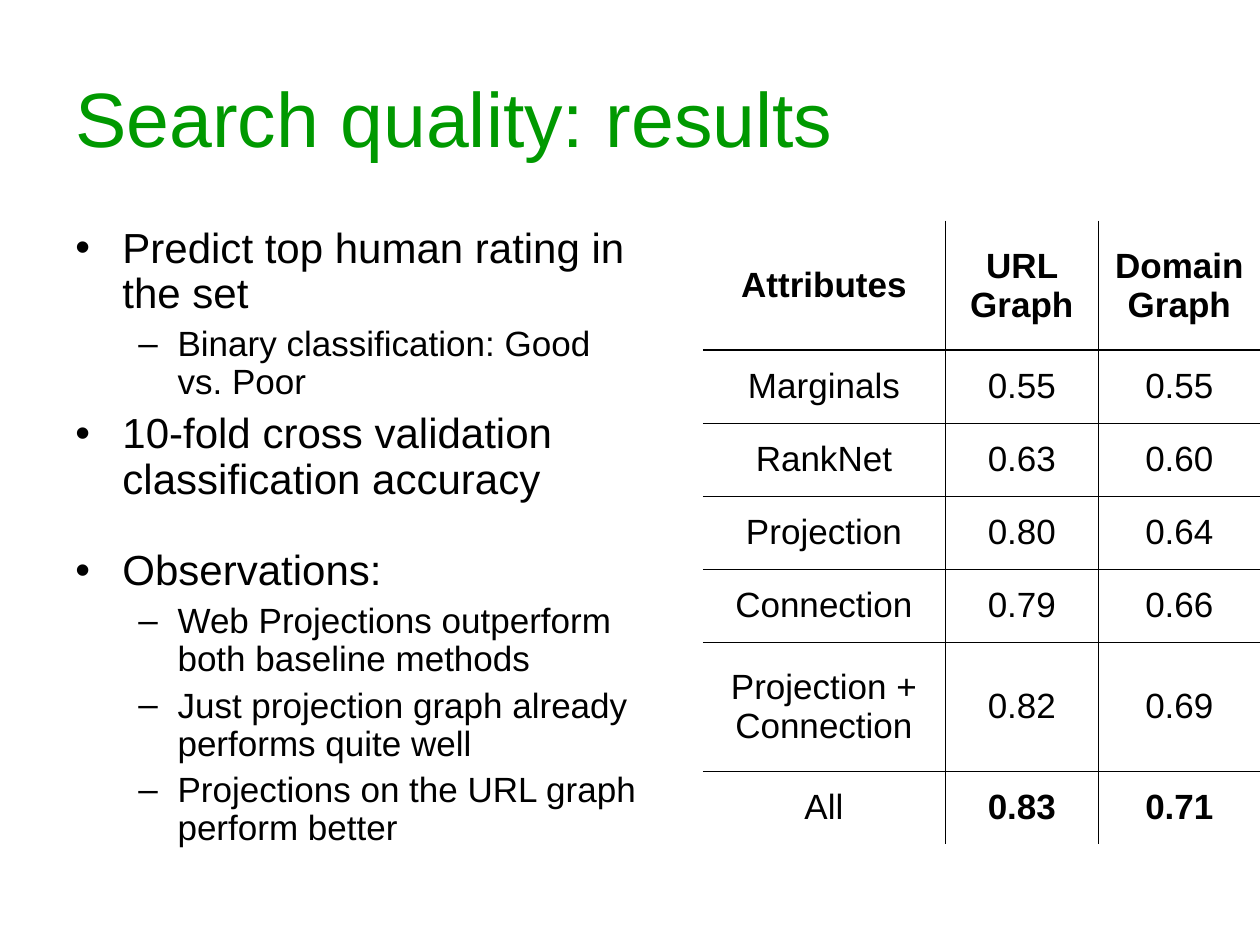
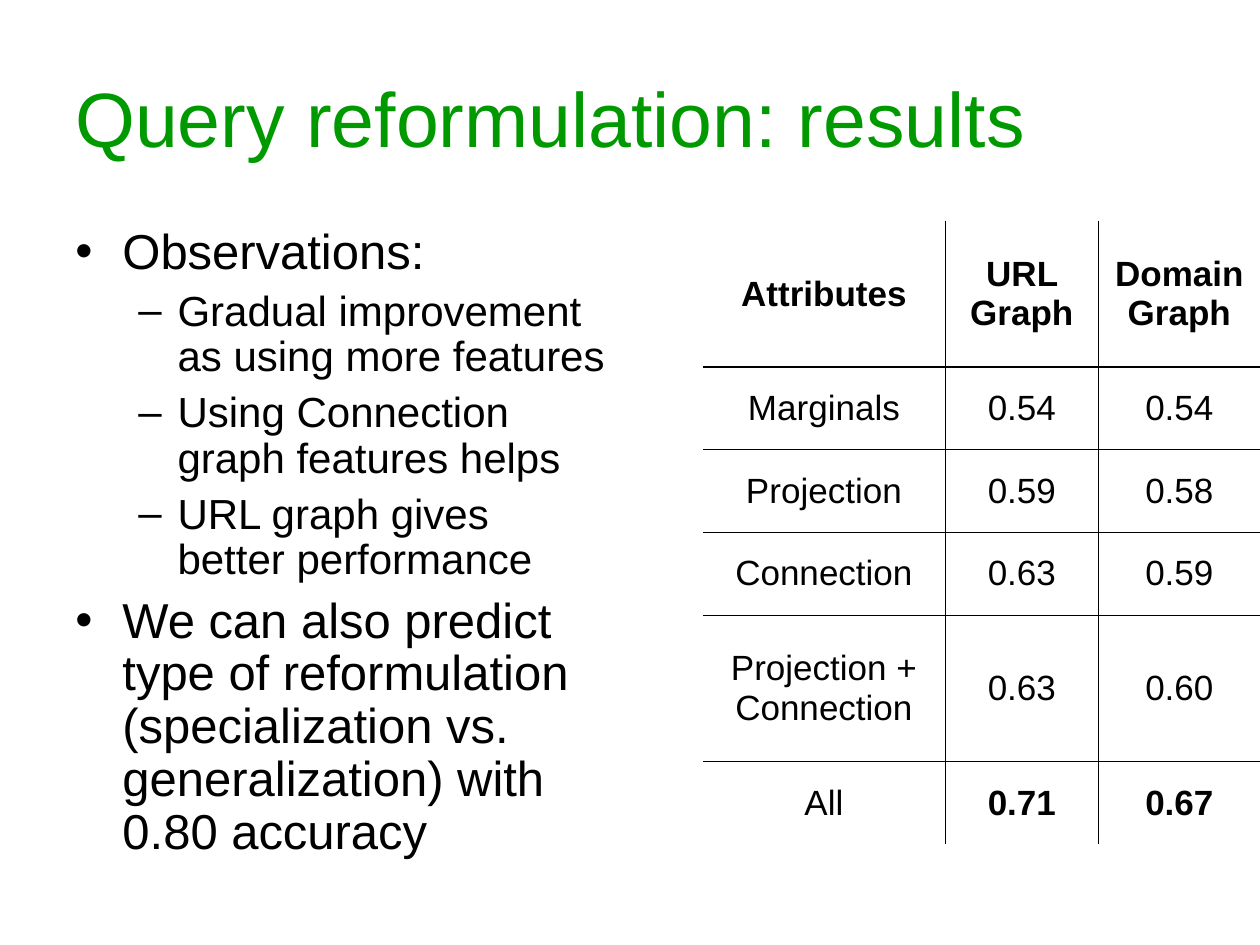
from lxml.etree import SubElement
from pptx import Presentation
from pptx.dml.color import RGBColor
from pptx.enum.text import MSO_ANCHOR as Anchor, PP_ALIGN as Align
from pptx.oxml.ns import qn
from pptx.util import Cm, Pt

GREEN = RGBColor(0x00, 0x99, 0x00)
BLACK = RGBColor(0x00, 0x00, 0x00)

BULLETS = [("•", 0.95, -0.95), ("–", 2.06, -0.79)]
COLUMN_WIDTHS = [4.88, 3.1, 3.25]
TABLE_HEIGHT = 12.57
TALL_RATIO = 1.77
TALL_LABELS = ("Attributes", "Projection + Connection")
HEADER = ("Attributes", "URL Graph", "Domain Graph")
THIN, THICK = 0.45, 1.08


def write(p, text, size=20, color=BLACK, bold=False, align=Align.LEFT, before=0, spacing=1.0):
    p.alignment = align
    p.space_before = Pt(before)
    p.line_spacing = spacing
    r = p.add_run()
    r.text = text
    r.font.name = "Arial"
    r.font.size = Pt(size)
    r.font.bold = bold
    r.font.color.rgb = color


def add_bullet(p, level):
    char, margin, indent = BULLETS[level]
    p.level = level
    pPr = p._p.get_or_add_pPr()
    pPr.set("marL", str(Cm(margin)))
    pPr.set("indent", str(Cm(indent)))
    color = SubElement(pPr, qn("a:buClr"))
    SubElement(color, qn("a:srgbClr"), val=str(BLACK))
    SubElement(pPr, qn("a:buFont"), typeface="Arial")
    SubElement(pPr, qn("a:buChar"), char=char)


def add_border(cell, side, width):
    tcPr = cell._tc.get_or_add_tcPr()
    ln = SubElement(tcPr, qn(f"a:ln{side}"), w=str(Pt(width)))
    if width:
        fill = SubElement(ln, qn("a:solidFill"))
        SubElement(fill, qn("a:srgbClr"), val=str(BLACK))
    else:
        SubElement(ln, qn("a:noFill"))


class Deck:
    def __init__(self):
        self.prs = Presentation()
        self.prs.slide_width, self.prs.slide_height = Cm(25.4), Cm(19.05)
        self.s = None

    def new_slide(self, title):
        self.s = self.prs.slides.add_slide(self.prs.slide_layouts[6])
        tf = self.text_box(1.27, 0.76, 22.86, 3.18)
        tf.vertical_anchor = Anchor.MIDDLE
        write(tf.paragraphs[0], title, size=44, color=GREEN)

    def text_box(self, left, top, width, height):
        sp = self.s.shapes.add_textbox(Cm(left), Cm(top), Cm(width), Cm(height))
        tf = sp.text_frame
        tf.word_wrap = True
        return tf

    def bullets(self, items, size, width, height):
        tf = self.text_box(1.27, 4.45, width, height)
        for i, (level, text, *gap) in enumerate(items):
            p = tf.add_paragraph() if i else tf.paragraphs[0]
            add_bullet(p, level)
            level_size = size - 4 * level
            before = level_size / 4 + sum(gap) if i else 0
            write(p, text, size=level_size, before=before, spacing=0.9)

    def results_table(self, results):
        rows = [HEADER, *results]
        last_row, last_col = len(rows) - 1, len(HEADER) - 1
        ratios = [TALL_RATIO if row[0] in TALL_LABELS else 1 for row in rows]
        frame = self.s.shapes.add_table(len(rows), len(HEADER), Cm(14.17), Cm(4.45),
                                        Cm(sum(COLUMN_WIDTHS)), Cm(TABLE_HEIGHT))
        table = frame.table
        table.first_row = table.horz_banding = False
        for column, width in zip(table.columns, COLUMN_WIDTHS):
            column.width = Cm(width)
        for i, row in enumerate(rows):
            table.rows[i].height = Cm(TABLE_HEIGHT * ratios[i] / sum(ratios))
            for j, text in enumerate(row):
                cell = table.cell(i, j)
                cell.vertical_anchor = Anchor.MIDDLE
                bold = i == 0 or (i == last_row and j > 0)
                write(cell.text_frame.paragraphs[0], text, bold=bold, align=Align.CENTER)
                add_border(cell, "L", THIN if j else 0)
                add_border(cell, "R", THIN if j < last_col else 0)
                add_border(cell, "T", (0, THICK)[i] if i < 2 else THIN)
                add_border(cell, "B", THICK if i == 0 else THIN if i < last_row else 0)
                cell.fill.background()


def search_quality(deck):
    deck.new_slide("Search quality: results")
    deck.bullets([
        (0, "Predict top human rating in the set"),
        (1, "Binary classification: Good vs. Poor"),
        (0, "10-fold cross validation classification accuracy"),
        (0, "Observations:", 20.6),
        (1, "Web Projections outperform both baseline methods"),
        (1, "Just projection graph already performs quite well"),
        (1, "Projections on the URL graph perform better"),
    ], size=24, width=11.86, height=13.54)
    deck.results_table([
        ("Marginals", "0.55", "0.55"),
        ("RankNet", "0.63", "0.60"),
        ("Projection", "0.80", "0.64"),
        ("Connection", "0.79", "0.66"),
        ("Projection + Connection", "0.82", "0.69"),
        ("All", "0.83", "0.71"),
    ])


def query_reformulation(deck):
    deck.new_slide("Query reformulation: results")
    deck.bullets([
        (0, "Observations:"),
        (1, "Gradual improvement as using more features"),
        (1, "Using Connection graph features helps"),
        (1, "URL graph gives better performance"),
        (0, "We can also predict type of reformulation "
            "(specialization vs. generalization) with 0.80 accuracy"),
    ], size=28, width=11.23, height=13.13)
    deck.results_table([
        ("Marginals", "0.54", "0.54"),
        ("Projection", "0.59", "0.58"),
        ("Connection", "0.63", "0.59"),
        ("Projection + Connection", "0.63", "0.60"),
        ("All", "0.71", "0.67"),
    ])


def main():
    deck = Deck()
    search_quality(deck)
    query_reformulation(deck)
    deck.prs.save("out.pptx")


if __name__ == "__main__":
    main()
